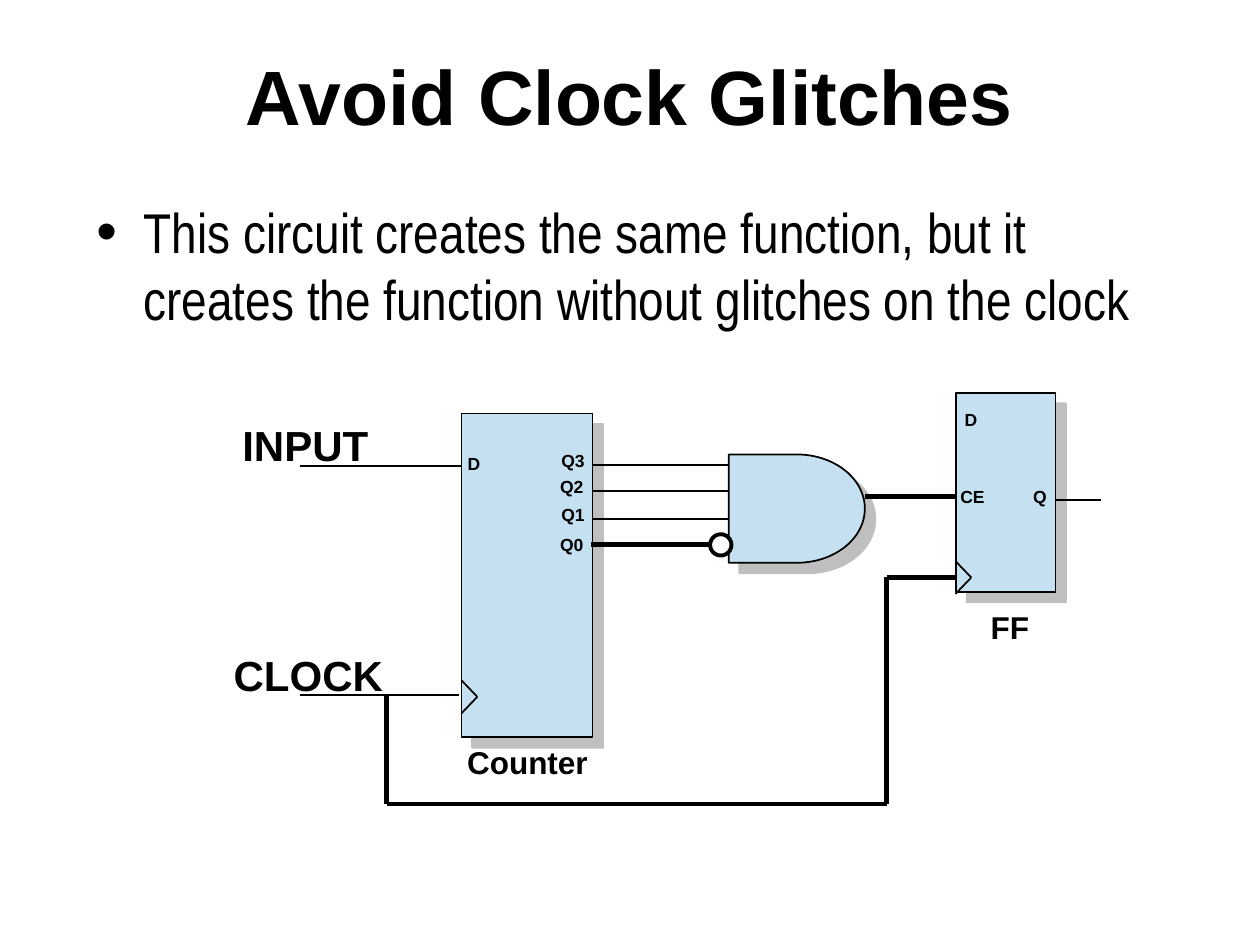
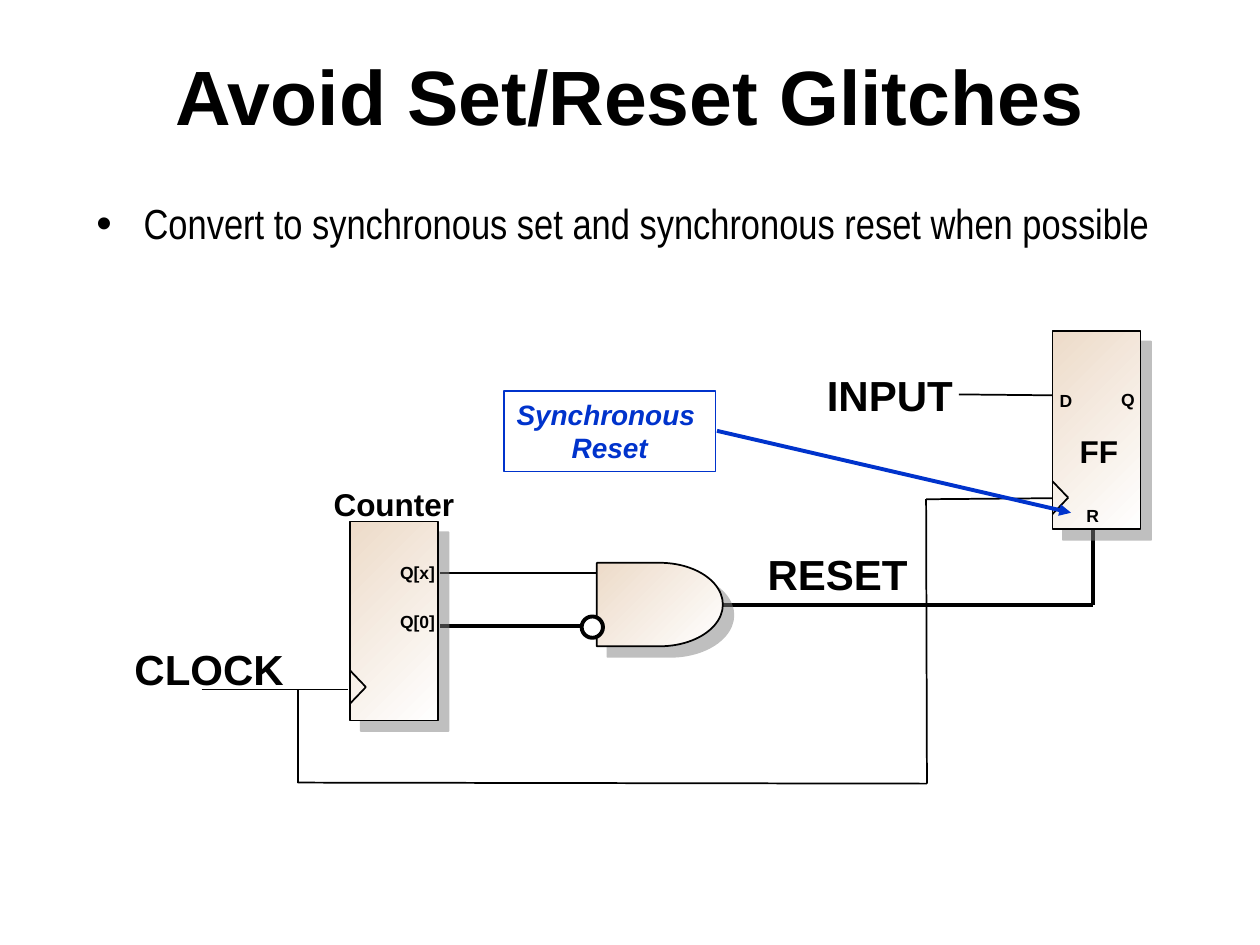
"""Build two slides on avoiding clock and set/reset glitches in counter circuits."""
from itertools import pairwise

from lxml import etree
from pptx import Presentation
from pptx.dml.color import RGBColor
from pptx.enum.shapes import MSO_CONNECTOR, MSO_SHAPE
from pptx.enum.text import MSO_ANCHOR, PP_ALIGN
from pptx.oxml import parse_xml
from pptx.oxml.ns import qn
from pptx.util import Pt

RECT, DELAY, OVAL = MSO_SHAPE.RECTANGLE, MSO_SHAPE.FLOWCHART_DELAY, MSO_SHAPE.OVAL
STRAIGHT = MSO_CONNECTOR.STRAIGHT
LEFT, CENTER = PP_ALIGN.LEFT, PP_ALIGN.CENTER
TOP, MIDDLE = MSO_ANCHOR.TOP, MSO_ANCHOR.MIDDLE

COLORS = {name: RGBColor.from_string(value) for name, value in {
    "black": "000000", "white": "FFFFFF", "sky": "C5E1F1",
    "sand": "EDDBC9", "blue": "0033CC"}.items()}
SHADOW = (
    '<a:outerShdw xmlns:a="http://schemas.openxmlformats.org/drawingml/2006/main" '
    'dist="107950" dir="2700000" algn="ctr" rotWithShape="0">'
    '<a:srgbClr val="808080"><a:alpha val="50000"/></a:srgbClr></a:outerShdw>')
LABEL_HEIGHTS = {10: 19.4, 18: 28.8, 24: 36}
BUBBLE_SIZE = 12.2
THIN = 1

SLIDES = [
    {
        "title": "Avoid Clock Glitches",
        "body": "This circuit creates the same function, but it creates "
                "the function without glitches on the clock",
        "body_size": 32, "body_height": 84.2,
        "fill": ["sky"], "thick": 2.75,
        "blocks": [
            (RECT, 263.75, 236.3, 74.9, 185),
            (DELAY, 416.4, 259.7, 77.8, 61.9),
            (RECT, 546.5, 224.4, 56.7, 113.8),
        ],
        "clock_pins": [(263.75, 388.8), (546, 320.6)],
        "wires_below": [],
        "wires_above": [
            (False, [(171.4, 266.4), (263.5, 266.4)]),
            (False, [(338.4, 265.7), (416.2, 265.7)]),
            (False, [(338.4, 280.6), (416.2, 280.6)]),
            (False, [(338.4, 296.6), (416.2, 296.6)]),
            (True, [(337.7, 311.2), (405.4, 311.2)]),
            (False, [(171.4, 397.3), (262.1, 397.3)]),
            (True, [(494.3, 283.7), (546.5, 283.7)]),
            (True, [(221, 397.4), (221, 459.4), (506.7, 459.4),
                    (506.7, 330), (546.5, 330)]),
            (False, [(603.2, 285.8), (629.3, 285.8)]),
        ],
        "bubble": (405.8, 305.3),
        "labels": [
            ("D", 10, 260.1, 255.6, 21.6), ("Q3", 10, 313.4, 253.6, 28),
            ("Q2", 10, 312.7, 268.6, 28), ("Q1", 10, 313.4, 284.4, 28),
            ("Q0", 10, 312.7, 301.9, 28), ("INPUT", 24, 131.3, 236.4, 86.4),
            ("CLOCK", 24, 126.2, 367.5, 100), ("Counter", 18, 259.7, 421.2, 83.5),
            ("D", 10, 544, 230.4, 21.6), ("CE", 10, 541.7, 274.3, 28),
            ("Q", 10, 583, 274, 22.3), ("FF", 18, 557.1, 343.9, 40),
        ],
    },
    {
        "title": "Avoid Set/Reset Glitches",
        "body": "Convert to synchronous set and synchronous reset when possible",
        "body_size": 24, "body_height": 354.2,
        "fill": ["sand", "white"], "thick": 2.25,
        "blocks": [
            (DELAY, 341.1, 321.6, 72, 47.7),
            (RECT, 200.1, 298.1, 50.2, 113.6),
            (RECT, 601.4, 189.1, 50.4, 113.4),
        ],
        "clock_pins": [(200.1, 383.2), (601.4, 275)],
        "wires_below": [
            (False, [(251.3, 327.6), (341.3, 327.6)]),
            (True, [(251.3, 357.6), (332.6, 357.6)]),
            (False, [(115.2, 394), (198.7, 394)]),
            (True, [(413.3, 345.5), (624.7, 345.5), (624.7, 298.1)]),
        ],
        "wires_above": [
            (False, [(170.1, 393.8), (170.1, 447.2), (529.7, 447.8),
                     (529.2, 285.3), (601.2, 284.7)]),
            (False, [(547.9, 225.4), (601.2, 225.9)]),
        ],
        "bubble": (332.4, 352.3),
        "labels": [
            ("CLOCK", 24, 69.5, 364.4, 100), ("Q[x]", 10, 219.6, 317.4, 38),
            ("Counter", 18, 183.1, 273.6, 84), ("Q[0]", 10, 219.6, 345.8, 38),
            ("RESET", 24, 431.5, 310, 94.3), ("INPUT", 24, 465.3, 207.4, 86.4),
            ("Q", 10, 633.4, 218.9, 22.3), ("FF", 18, 607.9, 243.4, 40),
            ("D", 10, 598.4, 219.6, 21.6), ("R", 10, 613.6, 285.1, 21.6),
        ],
    },
]


def add_text(slide, text, size, box, wrap=False, anchor=TOP, align=CENTER,
             font="Arial", bold=True, color="black", italic=False):
    s = slide.shapes.add_textbox(*map(Pt, box))
    tf = s.text_frame
    tf.word_wrap = wrap
    tf.vertical_anchor = anchor
    tf.text = text
    for p in tf.paragraphs:
        p.alignment = align
        for r in p.runs:
            r.font.size, r.font.name = Pt(size), font
            r.font.bold, r.font.italic = bold, italic
            r.font.color.rgb = COLORS[color]
    return s


def add_wire(slide, points, width=THIN, color="black"):
    for start, end in pairwise(points):
        s = slide.shapes.add_connector(STRAIGHT, *map(Pt, start + end))
        s.line.color.rgb = COLORS[color]
        s.line.width = Pt(width)
        etree.SubElement(s._element.spPr, qn("a:effectLst"))
    return s


prs = Presentation()
prs.slide_width, prs.slide_height = Pt(720), Pt(540)

for content in SLIDES:
    slide = prs.slides.add_slide(prs.slide_layouts[6])
    add_text(slide, content["title"], 44, (48, 15.1, 624, 77.8), wrap=True, anchor=MIDDLE)

    body = add_text(slide, content["body"], content["body_size"],
                    (48, 109.4, 624, content["body_height"]), wrap=True, align=LEFT,
                    font="Arial Narrow", bold=False)
    pPr = body.text_frame.paragraphs[0]._p.get_or_add_pPr()
    pPr.set("marL", str(Pt(27)))
    pPr.set("indent", str(Pt(-27)))
    bullet_color = etree.SubElement(pPr, qn("a:buClr"))
    etree.SubElement(bullet_color, qn("a:srgbClr"), val=str(COLORS["black"]))
    etree.SubElement(pPr, qn("a:buSzPct"), val="105000")
    etree.SubElement(pPr, qn("a:buFont"), typeface="Arial")
    etree.SubElement(pPr, qn("a:buChar"), char="•")

    for thick, points in content["wires_below"]:
        add_wire(slide, points, content["thick"] if thick else THIN)

    for kind, *box in content["blocks"]:
        s = slide.shapes.add_shape(kind, *map(Pt, box))
        if len(content["fill"]) == 1:
            s.fill.solid()
            s.fill.fore_color.rgb = COLORS[content["fill"][0]]
        else:
            s.fill.gradient()
            s.fill.gradient_angle = 315
            for stop, name in zip(s.fill.gradient_stops, content["fill"]):
                stop.color.rgb = COLORS[name]
        s.line.color.rgb = COLORS["black"]
        s.line.width = Pt(THIN)
        s.shadow.inherit = False
        s._element.spPr.find(qn("a:effectLst")).append(parse_xml(SHADOW))

    for x, y in content["clock_pins"]:
        add_wire(slide, [(x, y), (x + 9, y + 9.4), (x, y + 18.8)])
    for thick, points in content["wires_above"]:
        add_wire(slide, points, content["thick"] if thick else THIN)

    bubble = slide.shapes.add_shape(
        OVAL, *map(Pt, content["bubble"]), Pt(BUBBLE_SIZE), Pt(BUBBLE_SIZE))
    bubble.fill.solid()
    bubble.fill.fore_color.rgb = COLORS["white"]
    bubble.line.color.rgb = COLORS["black"]
    bubble.line.width = Pt(2.25)
    bubble.shadow.inherit = False

    for text, size, left, top, width in content["labels"]:
        add_text(slide, text, size, (left, top, width, LABEL_HEIGHTS[size]))

callout = add_text(slide, "Synchronous \nReset", 16, (287.9, 223.4, 121, 46.1),
                   color="blue", italic=True)
callout.line.color.rgb = COLORS["blue"]
callout.line.width = Pt(THIN)
arrow = add_wire(slide, [(409.7, 246.2), (612, 293)], 2.25, "blue")
etree.SubElement(arrow._element.spPr.find(qn("a:ln")), qn("a:tailEnd"), type="triangle")

prs.save("out.pptx")
